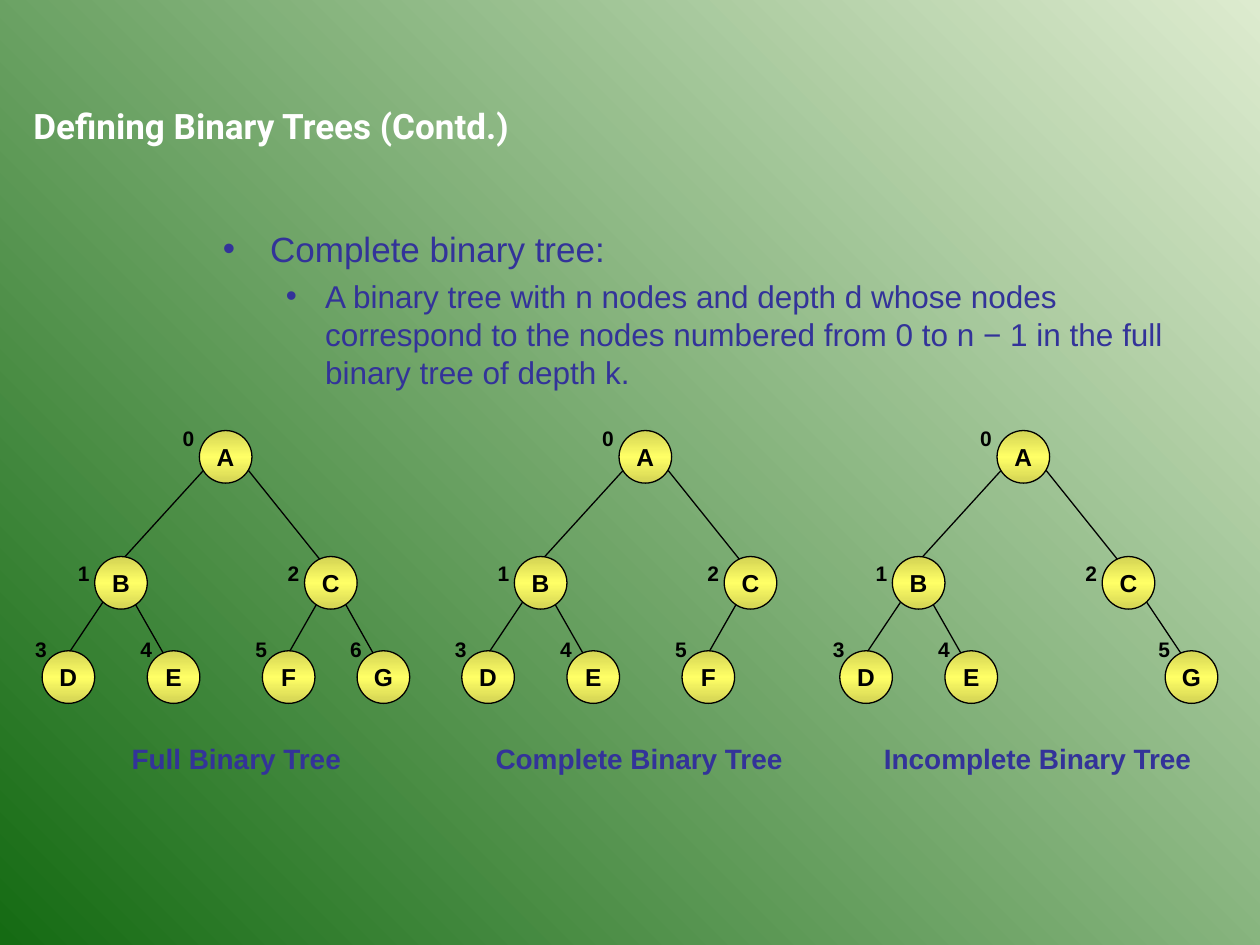
from copy import deepcopy

from lxml.etree import SubElement
from pptx import Presentation
from pptx.dml.color import RGBColor
from pptx.enum.shapes import MSO_CONNECTOR, MSO_SHAPE
from pptx.enum.text import MSO_ANCHOR, MSO_AUTO_SIZE, PP_ALIGN
from pptx.oxml.ns import qn
from pptx.util import Cm, Pt


def rgb(color):
    return RGBColor.from_string(color)


def write(p, text, size, color, bold=True, font="Arial", align=PP_ALIGN.LEFT):
    p.text = text
    p.alignment = align
    p.space_before = Pt(0)
    f = p.runs[0].font
    f.size, f.bold, f.name = Pt(size), bold, font
    f.color.rgb = rgb(color)


prs = Presentation()
prs.slide_width, prs.slide_height = Cm(25.4), Cm(19.05)
s = prs.slides.add_slide(prs.slide_layouts[1])

# Background
fill = s.background.fill
fill.gradient()
fill.gradient_angle = 225
for stop, color in zip(fill.gradient_stops, ("DDEBCF", "156B13")):
    stop.color.rgb = rgb(color)

# Title
title = s.shapes.title
title.left, title.top, title.width, title.height = Cm(0.42), Cm(1.98), Cm(19.05), Cm(1.11)
tf = title.text_frame
tf.vertical_anchor = MSO_ANCHOR.TOP
tf.auto_size = MSO_AUTO_SIZE.NONE
write(tf.paragraphs[0], "Defining Binary Trees (Contd.)", 20, "FFFFFF", font="Roboto")

# Definition: text, level, size, left margin, hanging indent
lines = [
    ("Complete binary tree:", 0, 20, 0.95, 0.95),
    ("A binary tree with n nodes and depth d whose nodes correspond to the nodes "
     "numbered from 0 to n − 1 in the full binary tree of depth k.", 1, 18, 2.06, 0.79),
]
body = s.placeholders[1]
body.left, body.top, body.width, body.height = Cm(4.24), Cm(4.45), Cm(20.32), Cm(12.7)
tf = body.text_frame
tf.auto_size = MSO_AUTO_SIZE.NONE
for i, (text, level, size, margin, hang) in enumerate(lines):
    p = tf.add_paragraph() if i else tf.paragraphs[0]
    write(p, text, size, "333399", bold=False)
    p.level = level
    if i:
        p.space_before = Pt(4.5)
    pPr = p._p.get_or_add_pPr()
    pPr.set("marL", str(Cm(margin)))
    pPr.set("indent", str(-Cm(hang)))
    SubElement(pPr, qn("a:buFont")).set("typeface", "Arial")
    SubElement(pPr, qn("a:buChar")).set("char", "•")

# Places inside a tree, measured from its left edge
D = 1.06
nodes = {"A": (3.17, 8.68), "B": (1.06, 11.22), "C": (5.29, 11.22), "D": (0, 13.12),
         "E": (2.12, 13.12), "F": (4.44, 13.12), "G": (6.35, 13.12)}
edges = {"B": (3.6, 9.1, 1.48, 11.43), "C": (4.02, 9.31, 5.72, 11.43),
         "D": (1.27, 12.07, 0.42, 13.34), "E": (1.69, 11.85, 2.54, 13.34),
         "F": (5.72, 11.85, 4.87, 13.34), "G": (5.93, 11.85, 6.77, 13.34)}
wide_g = {"node": (6.56, 13.12), "edge": (6.14, 12.07, 6.99, 13.34)}
number_tops = {8.68: 8.46, 11.22: 11.18, 13.12: 12.7}

# Trees: left edge, node letters, caption, caption left, width and alignment
trees = [
    (0.85, "ABCDEFG", "Full Binary Tree", 1.27, 6.99, PP_ALIGN.CENTER),
    (9.31, "ABCDEF", "Complete Binary Tree", 9.74, 6.99, PP_ALIGN.LEFT),
    (16.93, "ABCDEG", "Incomplete Binary Tree", 17.57, 8.46, PP_ALIGN.LEFT),
]
for left, letters, caption, cap_left, cap_width, align in trees:
    lone_g = "G" in letters and "F" not in letters

    # Edges, one to each node below the root
    for letter in letters[1:]:
        x1, y1, x2, y2 = wide_g["edge"] if letter == "G" and lone_g else edges[letter]
        c = s.shapes.add_connector(MSO_CONNECTOR.STRAIGHT, Cm(left + x1), Cm(y1),
                                   Cm(left + x2), Cm(y2))
        c.line.color.rgb = rgb("000000")
        c.line.width = Pt(0.75)
        SubElement(c._element.spPr, qn("a:effectLst"))

    for number, letter in enumerate(letters):
        x, y = wide_g["node"] if letter == "G" and lone_g else nodes[letter]

        # Node
        sp = s.shapes.add_shape(MSO_SHAPE.OVAL, Cm(left + x), Cm(y), Cm(D), Cm(D))
        sp.shadow.inherit = False
        sp.line.color.rgb = rgb("000000")
        sp.line.width = Pt(0.75)
        sp.fill.gradient()
        sp.fill.gradient_angle = 90
        for stop in sp.fill.gradient_stops:
            stop.color.rgb = rgb("D3D354")
        gs_list = sp._element.spPr.find(".//" + qn("a:gsLst"))
        gs_list.insert(1, deepcopy(gs_list[0]))
        gs_list[1].set("pos", "50000")
        sp.fill.gradient_stops[1].color.rgb = rgb("FFFF66")
        tf = sp.text_frame
        tf.word_wrap = False
        tf.vertical_anchor = MSO_ANCHOR.MIDDLE
        write(tf.paragraphs[0], letter, 14, "000000", align=PP_ALIGN.CENTER)

        # Number beside the node
        gap = 0.39 if letter in "DEFG" else 0.59
        tb = s.shapes.add_textbox(Cm(left + x - gap), Cm(number_tops[y]), Cm(0.85), Cm(0.77))
        tb.text_frame.word_wrap = True
        write(tb.text_frame.paragraphs[0], str(number), 12, "000000")

    # Caption
    tb = s.shapes.add_textbox(Cm(cap_left), Cm(14.82), Cm(cap_width), Cm(1.06))
    tb.text_frame.word_wrap = True
    write(tb.text_frame.paragraphs[0], caption, 16, "333399", align=align)

prs.save("out.pptx")
